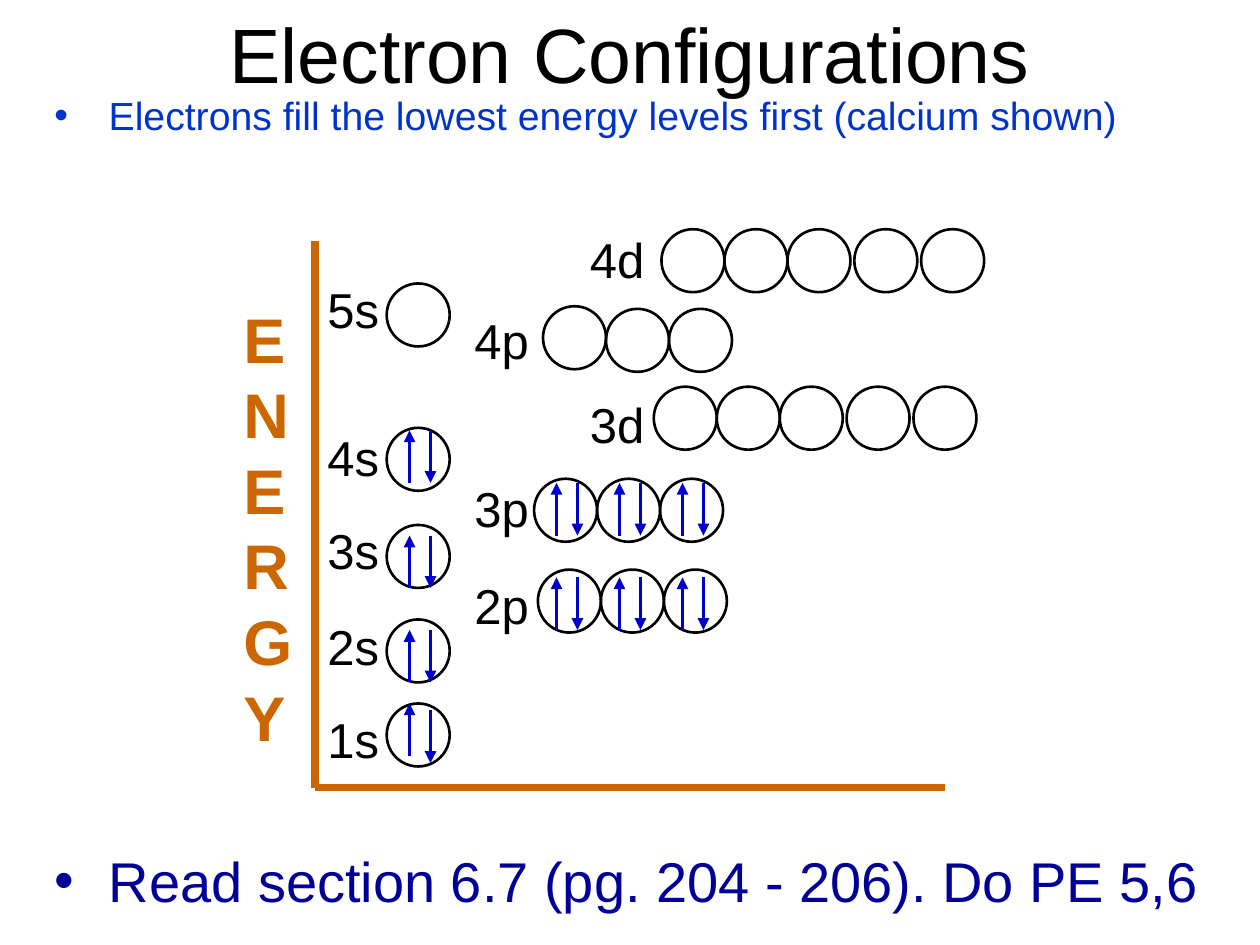
from dataclasses import dataclass
from typing import Optional

from lxml import etree
from pptx import Presentation
from pptx.dml.color import RGBColor
from pptx.enum.shapes import MSO_CONNECTOR, MSO_SHAPE
from pptx.enum.text import MSO_ANCHOR, PP_ALIGN
from pptx.oxml.ns import qn
from pptx.shapes.connector import Connector
from pptx.slide import Slide
from pptx.text.text import _Paragraph
from pptx.util import Pt

STRAIGHT = MSO_CONNECTOR.STRAIGHT
OVAL = MSO_SHAPE.OVAL
TOP, MIDDLE = MSO_ANCHOR.TOP, MSO_ANCHOR.MIDDLE
LEFT, CENTER = PP_ALIGN.LEFT, PP_ALIGN.CENTER

BLACK = RGBColor(0x00, 0x00, 0x00)
BRIGHT_BLUE = RGBColor(0x00, 0x33, 0xCC)
NAVY = RGBColor(0x00, 0x00, 0x99)
ARROW_BLUE = RGBColor(0x00, 0x00, 0xCC)
ORANGE = RGBColor(0xCC, 0x66, 0x00)

FONT = "Arial"
ORBITAL_SIZE = 36
ARROW_LENGTH = 30
ARROW_GAP = 12
BULLET_INDENT = 31

S_OFFSETS = (0,)
P_OFFSETS = (0, 36, 72)
D_OFFSETS = (0, 36, 72, 110.2, 148.4)

# Columns of the diagram: left edges of the labels and of the up arrows
S_LABEL, P_LABEL, D_LABEL = 180, 264, 330
S_ARROW, P_ARROW = 234, 318


@dataclass(frozen=True)
class Sublevel:
    name: str
    label_left: float
    label_top: float
    orbital_left: float
    orbital_top: float
    offsets: tuple[float, ...]
    arrow_left: float = 0
    arrow_top: Optional[float] = None
    down_drop: float = 0
    first_rise: float = 0


SUBLEVELS = (
    Sublevel("5s", S_LABEL, 156, 221, 162, S_OFFSETS),
    Sublevel("4s", S_LABEL, 241, 221, 244.5, S_OFFSETS, S_ARROW, 246),
    Sublevel("3s", S_LABEL, 294, 221, 300, S_OFFSETS, S_ARROW, 306),
    Sublevel("2s", S_LABEL, 349, 221, 354, S_OFFSETS, S_ARROW, 360),
    Sublevel("1s", S_LABEL, 402, 221, 402, S_OFFSETS, S_ARROW, 402, down_drop=4),
    Sublevel("2p", P_LABEL, 325.5, 307.4, 325.5, P_OFFSETS, P_ARROW, 330),
    Sublevel("3p", P_LABEL, 270, 305.2, 273.6, P_OFFSETS, P_ARROW, 276),
    Sublevel("4p", P_LABEL, 174, 310.3, 176.5, P_OFFSETS, first_rise=1.5),
    Sublevel("3d", D_LABEL, 222, 373.6, 221, D_OFFSETS),
    Sublevel("4d", D_LABEL, 127.5, 378, 131, D_OFFSETS),
)


def add_text(slide: Slide, text: str, left: float, top: float, width: float,
             height: float, size: float, color: RGBColor, bold: bool = False,
             bullet: bool = False, align: PP_ALIGN = LEFT,
             anchor: MSO_ANCHOR = TOP) -> _Paragraph:
    box = slide.shapes.add_textbox(Pt(left), Pt(top), Pt(width), Pt(height))
    text_frame = box.text_frame
    text_frame.word_wrap = True
    text_frame.vertical_anchor = anchor
    text_frame.text = text
    paragraph = text_frame.paragraphs[0]
    paragraph.alignment = align
    if bullet:
        add_bullet(paragraph)
    font = paragraph.runs[0].font
    font.name, font.size, font.bold = FONT, Pt(size), bold
    font.color.rgb = color
    return paragraph


def add_bullet(paragraph: _Paragraph) -> None:
    properties = paragraph._p.get_or_add_pPr()
    properties.set("marL", str(Pt(BULLET_INDENT)))
    properties.set("indent", str(-Pt(BULLET_INDENT)))
    etree.SubElement(properties, qn("a:buFont")).set("typeface", FONT)
    etree.SubElement(properties, qn("a:buChar")).set("char", "•")


def add_line(slide: Slide, start: tuple[float, float], end: tuple[float, float],
             color: RGBColor, width: float) -> Connector:
    line = slide.shapes.add_connector(
        STRAIGHT, Pt(start[0]), Pt(start[1]), Pt(end[0]), Pt(end[1]))
    line.line.color.rgb = color
    line.line.width = Pt(width)
    etree.SubElement(line._element.spPr, qn("a:effectLst"))
    return line


def add_arrow(slide: Slide, x: float, start_y: float, end_y: float) -> None:
    arrow = add_line(slide, (x, start_y), (x, end_y), ARROW_BLUE, 2.25)
    head = etree.SubElement(arrow.line._get_or_add_ln(), qn("a:tailEnd"))
    head.set("type", "triangle")


def add_orbital(slide: Slide, left: float, top: float) -> None:
    circle = slide.shapes.add_shape(
        OVAL, Pt(left), Pt(top), Pt(ORBITAL_SIZE), Pt(ORBITAL_SIZE))
    circle.shadow.inherit = False
    circle.fill.background()
    circle.line.color.rgb = BLACK
    circle.line.width = Pt(1.5)


def add_sublevel(slide: Slide, level: Sublevel) -> None:
    for index, offset in enumerate(level.offsets):
        rise = level.first_rise if index == 0 else 0
        add_orbital(slide, level.orbital_left + offset, level.orbital_top - rise)
    add_text(slide, level.name, level.label_left, level.label_top, 54, 41, 28, BLACK)


def add_electrons(slide: Slide, level: Sublevel) -> None:
    """Put an up and a down arrow in each orbital of a filled sublevel."""
    if level.arrow_top is None:
        return
    down_top = level.arrow_top + level.down_drop
    for offset in level.offsets:
        x = level.arrow_left + offset
        add_arrow(slide, x, level.arrow_top + ARROW_LENGTH, level.arrow_top)
        add_arrow(slide, x + ARROW_GAP, down_top, down_top + ARROW_LENGTH)


def add_energy_axes(slide: Slide) -> None:
    origin = (180, 450)
    add_line(slide, (180, 138), origin, ORANGE, 4.5)
    add_line(slide, (540, 450), origin, ORANGE, 4.5)
    # The narrow box wraps the words to one letter a line
    label = add_text(slide, "E N E R G Y", 132, 168, 54, 266.4, 36, ORANGE, bold=True)
    label.line_spacing = Pt(43.2)


def main() -> None:
    presentation = Presentation()
    presentation.slide_width, presentation.slide_height = Pt(720), Pt(540)
    slide = presentation.slides.add_slide(presentation.slide_layouts[6])

    add_text(slide, "Electron Configurations", 24, 12, 672, 36, 44, BLACK,
             align=CENTER, anchor=MIDDLE)
    rule = add_text(slide, "Electrons fill the lowest energy levels first (calcium shown)",
                    24, 54, 678, 42, 22.4, BRIGHT_BLUE, bullet=True)
    rule.line_spacing = 0.8
    add_text(slide, "Read section 6.7 (pg. 204 - 206). Do PE 5,6",
             24, 480, 672, 60, 32, NAVY, bullet=True)

    for level in SUBLEVELS:
        add_sublevel(slide, level)
    add_energy_axes(slide)
    for level in SUBLEVELS:
        add_electrons(slide, level)

    presentation.save("out.pptx")


if __name__ == "__main__":
    main()
